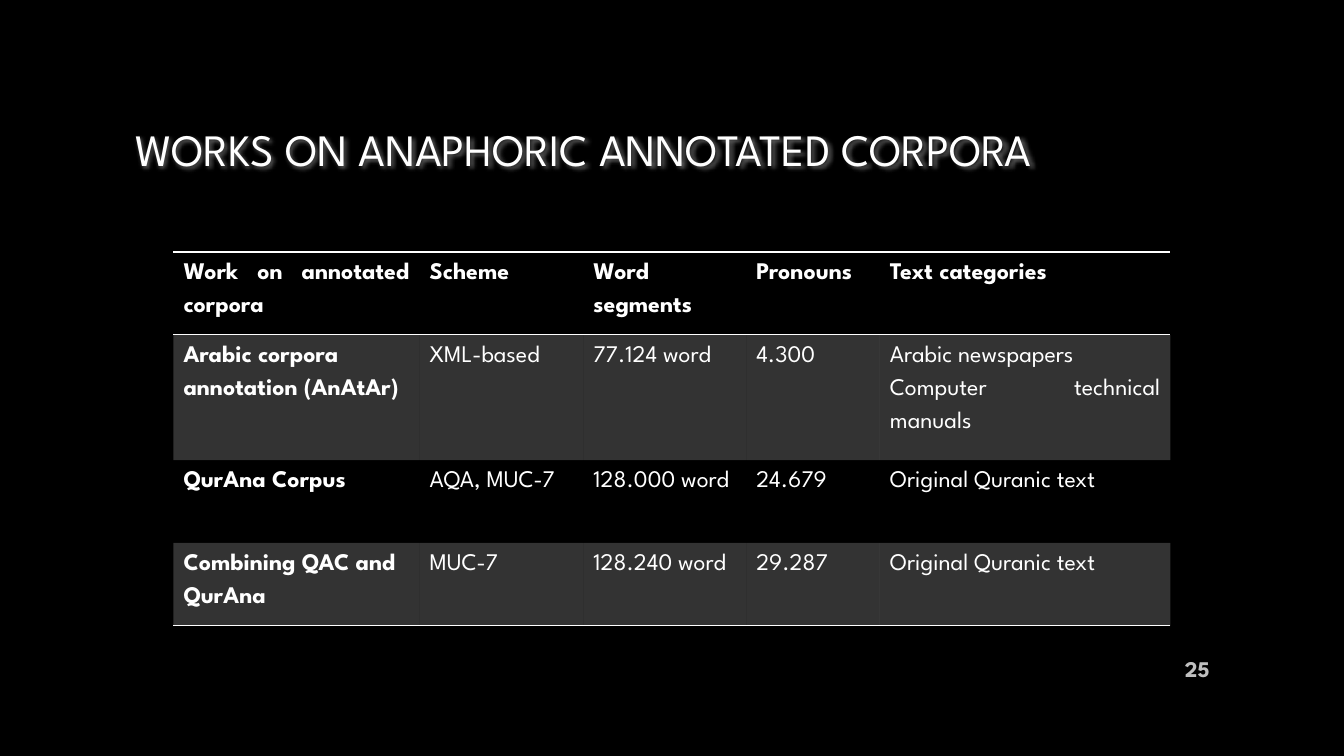
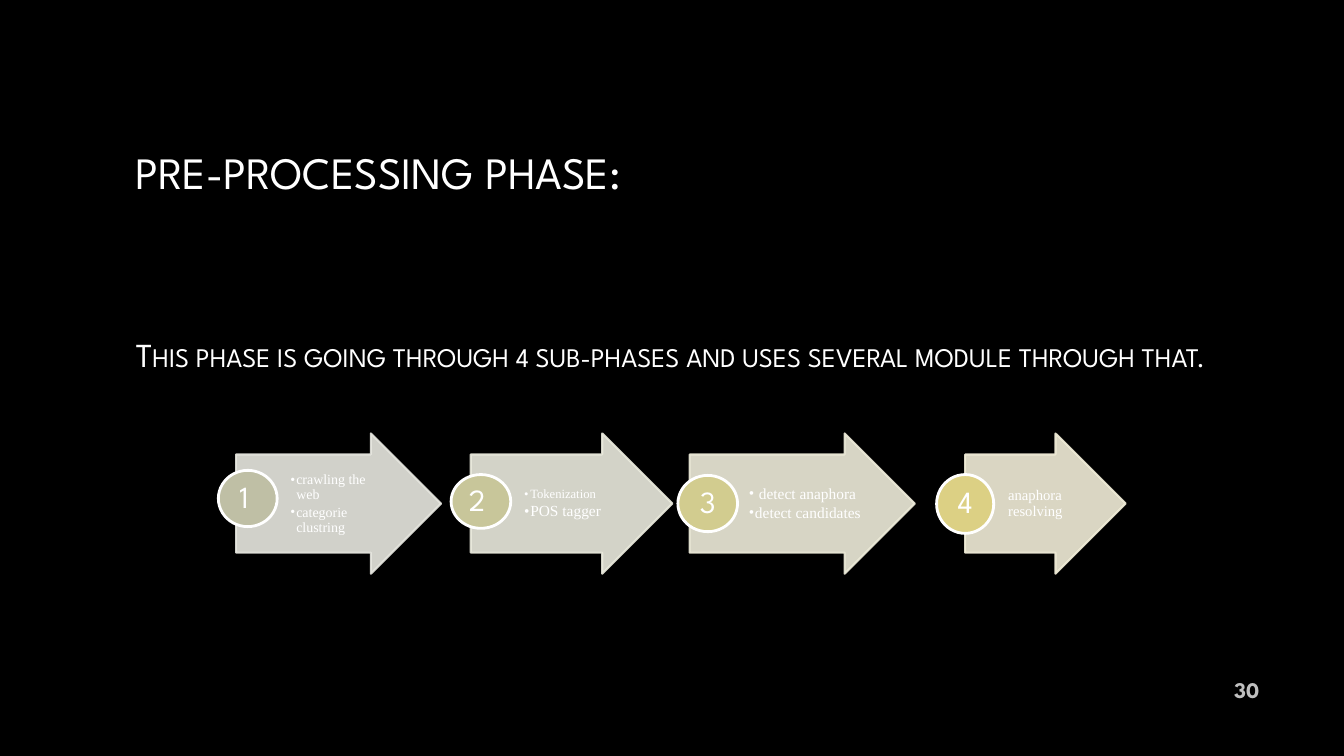
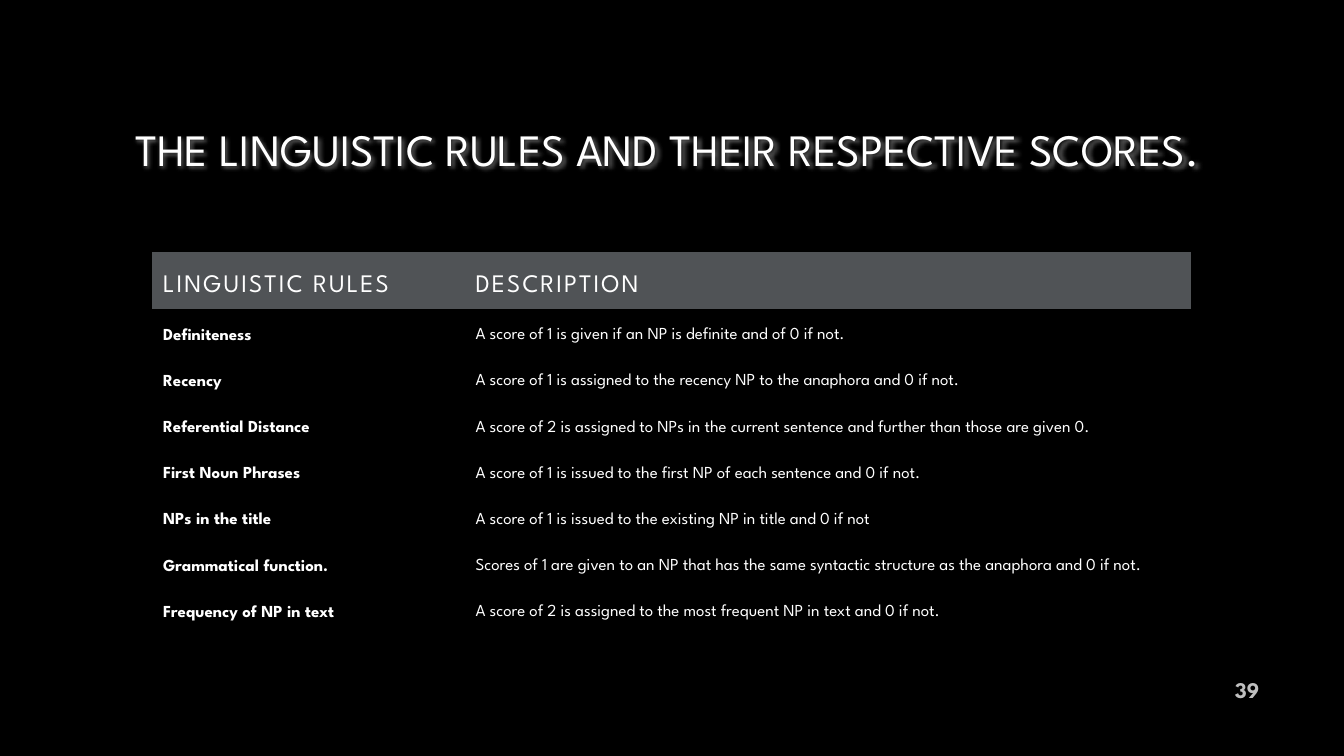
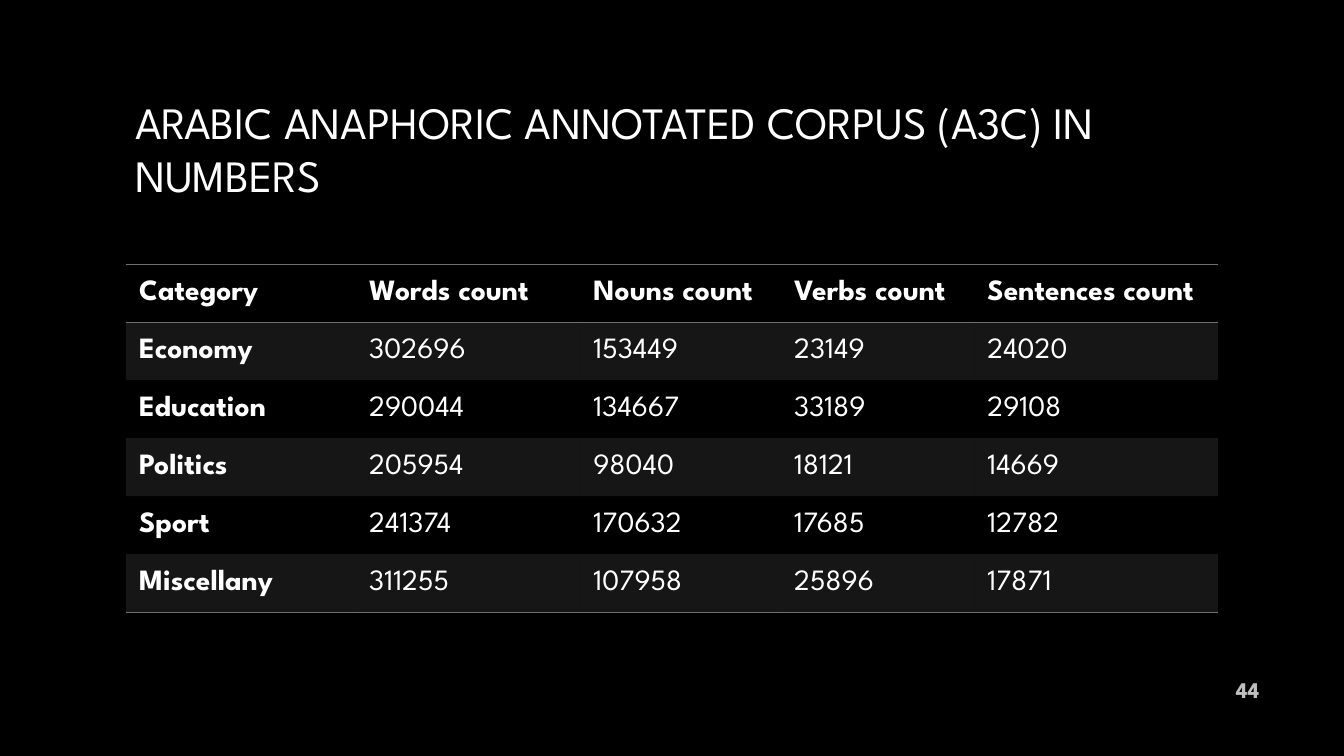
from dataclasses import dataclass

from lxml import etree
from pptx import Presentation
from pptx.dml.color import RGBColor
from pptx.enum.shapes import MSO_SHAPE
from pptx.enum.text import MSO_ANCHOR, PP_ALIGN
from pptx.oxml.ns import qn
from pptx.util import Inches, Length, Pt

LEFT, MID, RIGHT, FULL = PP_ALIGN.LEFT, PP_ALIGN.CENTER, PP_ALIGN.RIGHT, PP_ALIGN.JUSTIFY
TOP, CENTER = MSO_ANCHOR.TOP, MSO_ANCHOR.MIDDLE
ARROW, OVAL = MSO_SHAPE.RIGHT_ARROW, MSO_SHAPE.OVAL
PLAIN = "{2D5ABB26-0587-4C30-8999-92F81FD0307C}"  # table style: no style, no grid
COLS, ROWS = 160, 90  # the slide's grid, in cells of 1/12 inch
LEAD = 1.38  # line pitch in tables, as a share of the type size


@dataclass(frozen=True)
class Theme:
    font: str = "League Spartan"
    serif: str = "Times New Roman"
    back: str = "000000"
    ink: str = "FFFFFF"
    dim: str = "BFBFBF"
    gray: str = "6F6F6F"
    slate: str = "505356"
    title: float = 32
    lead: float = 24
    badge: float = 22
    page: float = 16


T = Theme()


@dataclass(frozen=True)
class Box:
    x: float
    y: float
    w: float
    h: float

    def emu(self) -> list[Length]:
        return [cell(v) for v in (self.x, self.y, self.w, self.h)]


@dataclass(frozen=True)
class Look:
    """Type of one run."""
    size: float
    color: str = T.ink
    bold: bool = False
    face: str = T.font
    space: int = 0
    caps: bool = False


@dataclass(frozen=True)
class Grid:
    """A table: place, column widths, row heights and styling."""
    x: float
    y: float
    cols: list[float]
    rows: list[float]
    data: list[list[str]]
    head: Look
    key: Look
    body: Look
    pads: tuple[float, float, float, float]
    band: tuple[str, int]
    odd: bool = True
    fill: str = ""
    rule: str = ""
    keyed: PP_ALIGN = FULL
    anchor: MSO_ANCHOR = TOP


@dataclass(frozen=True)
class Step:
    """One arrow with its numbered badge."""
    num: str
    x: float
    w: float
    wide: float
    tone: str
    disc: Box
    hue: str
    lines: list[tuple[str, float]]
    dots: bool = True


PAGE = Box(138, 77.2, 13.1, 9.8)


def cell(n: float) -> Length:
    return Inches(n / 12)


def rgb(tone: str) -> RGBColor:
    return RGBColor.from_string(tone)


def fade(fill, tone: str, share: int) -> None:
    """Fill with a colour at the given opacity in percent."""
    fill.solid()
    fill.fore_color.rgb = rgb(tone)
    for clr in fill._xPr.iter(qn("a:srgbClr")):
        etree.SubElement(clr, qn("a:alpha"), val=str(share * 1000))


def write(para, text: str, look: Look) -> None:
    run = para.add_run()
    run.text = text
    font = run.font
    font.name, font.size, font.bold = look.face, Pt(look.size), look.bold
    font.color.rgb = rgb(look.color)
    props = run._r.get_or_add_rPr()
    if look.space:
        props.set("spc", str(look.space))
    if look.caps:
        props.set("cap", "small")


def pad(item, left: float, top: float, right: float, foot: float) -> None:
    item.margin_left, item.margin_top = Inches(left), Inches(top)
    item.margin_right, item.margin_bottom = Inches(right), Inches(foot)


def frame(slide, box: Box):
    """Add a wrapping, vertically centred text box."""
    text = slide.shapes.add_textbox(*box.emu()).text_frame
    text.word_wrap = True
    text.vertical_anchor = CENTER
    return text


def start(deck, title: str, page: str, high: float = 19.3,
          spot: Box = PAGE, glow: bool = False):
    """Add a slide with its title and page number."""
    slide = deck.slides.add_slide(deck.slide_layouts[5])
    head = slide.shapes.title
    head.left, head.top, head.width, head.height = Box(15, 8, 130, high).emu()
    text = head.text_frame
    text.word_wrap, text.vertical_anchor = True, CENTER
    pad(text, 0.09, 0.06, 0.09, 0.05)
    para = text.paragraphs[0]
    para.alignment, para.line_spacing = LEFT, Pt(37.5)
    write(para, title, Look(T.title))
    if glow:
        halo = etree.SubElement(head._element.spPr, qn("a:effectLst"))
        cast = etree.SubElement(halo, qn("a:outerShdw"), blurRad="38100",
                                dist="19050", dir="2700000", algn="tl")
        tint = etree.SubElement(cast, qn("a:srgbClr"), val=T.ink)
        etree.SubElement(tint, qn("a:alpha"), val="40000")
    para = frame(slide, spot).paragraphs[0]
    para.alignment = RIGHT
    write(para, page, Look(T.page, T.dim, True))
    return slide


def edge(item, side: str, tone: str) -> None:
    line = etree.SubElement(item._tc.get_or_add_tcPr(), qn(f"a:{side}"), w="12700")
    paint = etree.SubElement(line, qn("a:solidFill"))
    etree.SubElement(paint, qn("a:srgbClr"), val=tone)


def table(slide, grid: Grid) -> None:
    last = len(grid.rows) - 1
    box = Box(grid.x, grid.y, sum(grid.cols), sum(grid.rows))
    tab = slide.shapes.add_table(last + 1, len(grid.cols), *box.emu()).table
    tab.first_row = tab.horz_banding = False
    tab._tbl.tblPr.find(qn("a:tableStyleId")).text = PLAIN
    for col, wide in zip(tab.columns, grid.cols):
        col.width = cell(wide)
    for row, high in zip(tab.rows, grid.rows):
        row.height = cell(high)
    for r, row in enumerate(grid.data):
        for c, text in enumerate(row):
            item = tab.cell(r, c)
            pad(item, *grid.pads)
            item.vertical_anchor = TOP if c else grid.anchor
            look = grid.head if r == 0 else grid.body if c else grid.key
            for n, part in enumerate(text.split("\n")):
                body = item.text_frame
                para = body.add_paragraph() if n else body.paragraphs[0]
                para.alignment = grid.keyed if r and not c else FULL
                para.line_spacing = Pt(look.size * LEAD)
                write(para, part, look)
            if grid.rule and r == 0:
                edge(item, "lnT", grid.rule)
            if grid.rule and r in (0, last):
                edge(item, "lnB", grid.rule)
            if r == 0 and grid.fill:
                fade(item.fill, grid.fill, 100)
            elif r and r % 2 == grid.odd:
                fade(item.fill, *grid.band)
            else:
                item.fill.background()


def shape(slide, kind: MSO_SHAPE, box: Box, tone: str, share: int,
          rim: str, thick: float):
    item = slide.shapes.add_shape(kind, *box.emu())
    item.shadow.inherit = False
    fade(item.fill, tone, share)
    fade(item.line.fill, rim, share)
    item.line.width = Pt(thick)
    return item


def dot(para) -> None:
    """Give a paragraph a bullet with a narrow hanging indent."""
    props = para._p.get_or_add_pPr()
    props.set("marL", str(Inches(0.06)))
    props.set("indent", str(-Inches(0.06)))
    etree.SubElement(props, qn("a:buFont"), typeface=T.serif)
    etree.SubElement(props, qn("a:buChar"), char="•")


def stage(slide, step: Step) -> None:
    arrow = shape(slide, ARROW, Box(step.x, 51.6, step.w, 16.7), step.tone, 90, step.tone, 1.5)
    arrow.adjustments[0], arrow.adjustments[1] = 0.7, 0.5
    text = frame(slide, Box(step.x + step.w / 4, 54.2, step.wide, 11.6))
    pad(text, 0.03, 0.01, 0.01, 0.01)
    for n, (line, size) in enumerate(step.lines):
        para = text.add_paragraph() if n else text.paragraphs[0]
        para.alignment, para.line_spacing = LEFT, 0.9
        para.space_after = Pt(size * 0.15)
        if step.dots:
            dot(para)
        write(para, line, Look(size, face=T.serif))
    disc = shape(slide, OVAL, step.disc, step.hue, 100, T.ink, 2)
    text = disc.text_frame
    text.word_wrap, text.vertical_anchor = True, CENTER
    pad(text, 0.02, 0.02, 0.02, 0.02)
    para = text.paragraphs[0]
    para.alignment, para.line_spacing = MID, 0.9
    write(para, step.num, Look(T.badge))


WORKS = Grid(
    20.65, 30, [29.3, 19.5, 19.4, 15.9, 34.6], [9.87, 14.9, 9.87, 9.87],
    [["Work on annotated corpora", "Scheme", "Word segments", "Pronouns", "Text categories"],
     ["Arabic corpora annotation (AnAtAr)", "XML-based", "77.124 word", "4.300",
      "Arabic newspapers\nComputer technical manuals"],
     ["QurAna Corpus", "AQA, MUC-7", "128.000 word", "24.679", "Original Quranic text"],
     ["Combining QAC and QurAna", "MUC-7", "128.240 word", "29.287", "Original Quranic text"]],
    Look(17, bold=True), Look(17, bold=True), Look(17),
    (0.1, 0, 0.1, 0), (T.ink, 20), rule=T.ink, keyed=LEFT)

RULES = Grid(
    18.1, 30, [37.2, 86.5], [6.8] + [5.5] * 7,
    [["LINGUISTIC RULES", "DESCRIPTION"],
     ["Definiteness", "A score of 1 is given if an NP is definite and of 0 if not."],
     ["Recency", "A score of 1 is assigned to the recency NP to the anaphora and 0 if not."],
     ["Referential Distance", "A score of 2 is assigned to NPs in the current sentence "
      "and further than those are given 0."],
     ["First Noun Phrases", "A score of 1 is issued to the first NP of each sentence and 0 if not."],
     ["NPs in the title", "A score of 1 is issued to the existing NP in title and 0 if not"],
     ["Grammatical function.", "Scores of 1 are given to an NP that has the same syntactic "
      "structure as the anaphora and 0 if not."],
     ["Frequency of NP in text", "A score of 2 is assigned to the most frequent NP in text "
      "and 0 if not."]],
    Look(18, space=150), Look(12, bold=True), Look(12),
    (0.11, 0.11, 0.11, 0.11), (T.back, 8), odd=False, fill=T.slate, anchor=CENTER)

COUNTS = Grid(
    15, 31.44, [27.4, 26.7, 23.9, 23, 29], [6.91] * 6,
    [["Category", "Words count", "Nouns count", "Verbs count", "Sentences count"],
     ["Economy", "302696", "153449", "23149", "24020"],
     ["Education", "290044", "134667", "33189", "29108"],
     ["Politics", "205954", "98040", "18121", "14669"],
     ["Sport", "241374", "170632", "17685", "12782"],
     ["Miscellany", "311255", "107958", "25896", "17871"]],
    Look(21, bold=True), Look(21, bold=True), Look(21),
    (0.13, 0.02, 0.13, 0), (T.gray, 20), rule=T.gray)

STEPS = [
    Step("1 ", 28.1, 24.4, 12.5, "E8E8E1", Box(26, 56, 7, 6.7), "BFBFA5",
         [("crawling the web", 10), ("categorie clustring", 10)]),
    Step("2 ", 56.05, 24, 12.1, "EBEBDE", Box(53.7, 56.5, 7.1, 6.4), "C8C69A",
         [("Tokenization", 9), ("POS tagger", 11)]),
    Step("3", 82.1, 26.8, 14.3, "EFEDDB", Box(80.7, 56.6, 7.1, 6.7), "D2CC8F",
         [(" detect anaphora", 11), ("detect candidates", 11)]),
    Step("4", 114.9, 19.1, 9.4, "F2EED9", Box(111.5, 56.5, 6.8, 7), "DCD084",
         [("anaphora resolving", 10.5)], dots=False),
]


def main() -> None:
    deck = Presentation()
    deck.slide_width, deck.slide_height = cell(COLS), cell(ROWS)
    back = deck.slide_master.background.fill
    back.solid()
    back.fore_color.rgb = rgb(T.back)

    slide = start(deck, "WORKS ON ANAPHORIC ANNOTATED CORPORA", "25",
                  spot=Box(138, 77.2, 7.2, 4.8), glow=True)
    table(slide, WORKS)

    slide = start(deck, "PRE-PROCESSING PHASE:", "30", high=25)
    para = frame(slide, Box(15, 35, 130, 14.3)).paragraphs[0]
    para.space_before, para.space_after = Pt(4.8), Pt(6)
    write(para, "This phase is going through 4 sub-phases and uses several "
          "module through that.", Look(T.lead, caps=True))
    for step in STEPS:
        stage(slide, step)

    slide = start(deck, "THE LINGUISTIC RULES AND THEIR RESPECTIVE SCORES.", "39", glow=True)
    table(slide, RULES)

    slide = start(deck, "ARABIC ANAPHORIC ANNOTATED CORPUS (A3C) IN NUMBERS", "44")
    table(slide, COUNTS)
    deck.save("out.pptx")


if __name__ == "__main__":
    main()
